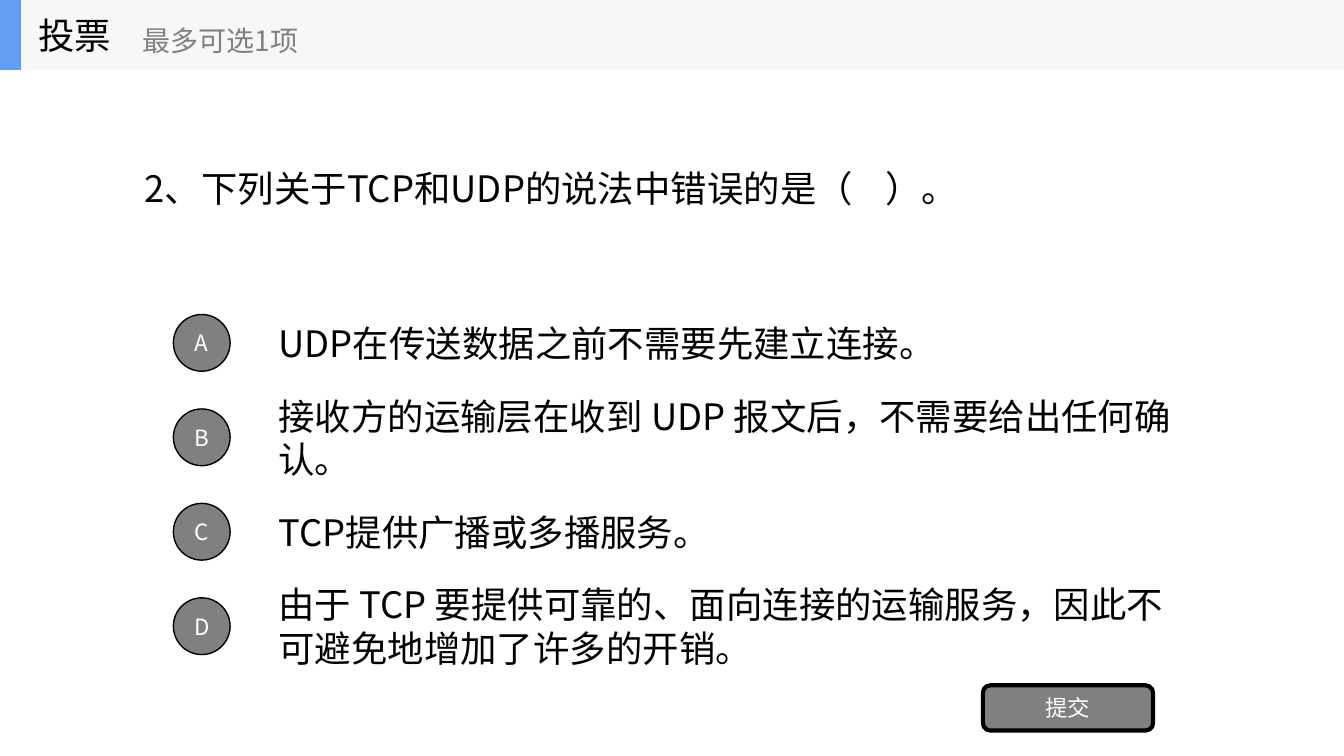
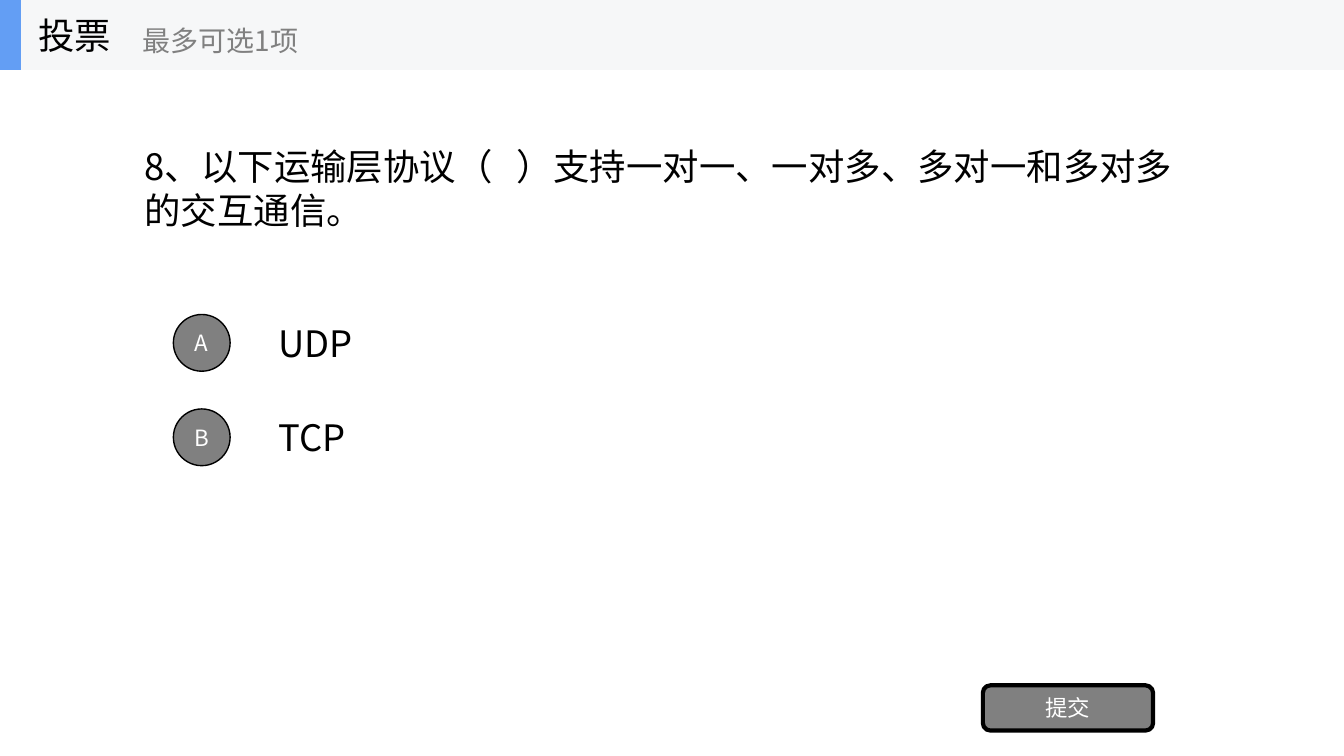
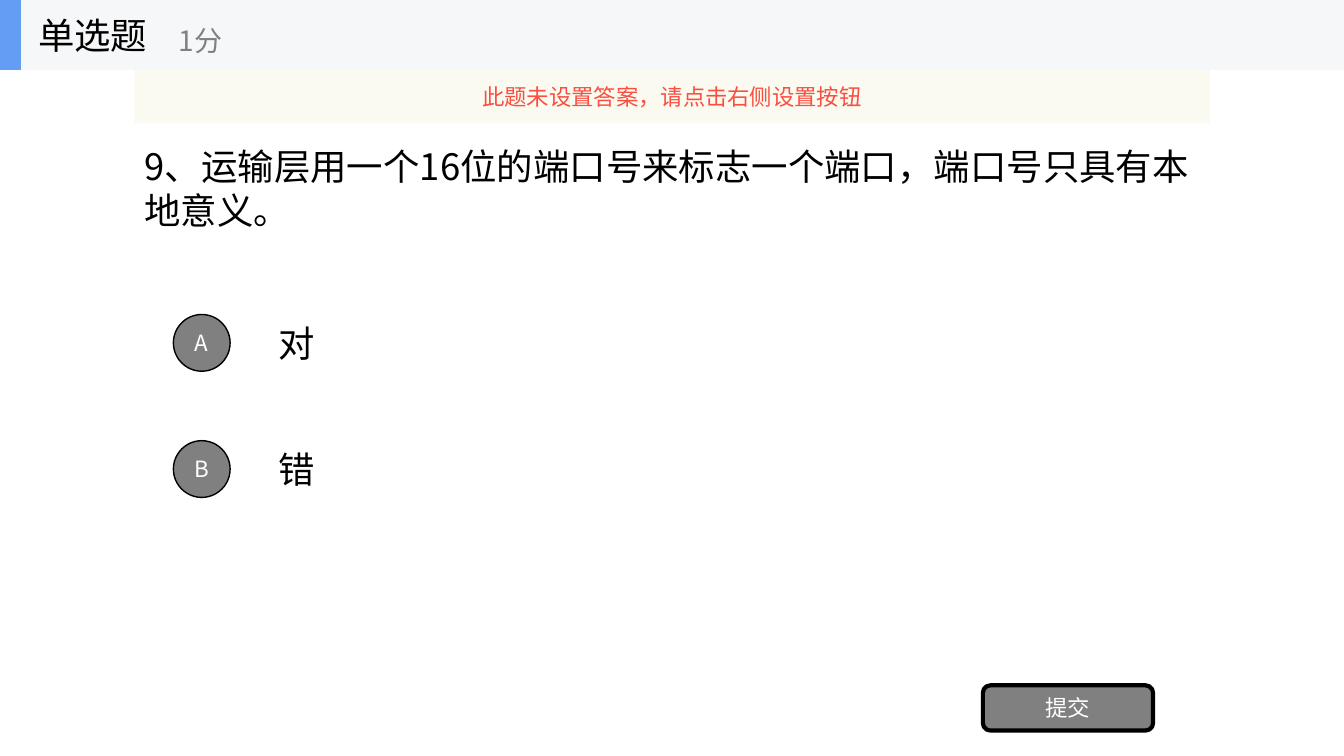
"""Build three quiz slides with a shared header, lettered options and a submit button."""
import lxml.etree
import pptx
import pptx.dml.color
import pptx.enum.shapes
import pptx.enum.text
import pptx.oxml.ns
import pptx.util

Cm = pptx.util.Cm
Pt = pptx.util.Pt
Align = pptx.enum.text.PP_ALIGN
Shape = pptx.enum.shapes.MSO_SHAPE
qn = pptx.oxml.ns.qn

FONT = "Noto Sans CJK SC"
COLORS = {
    "text": "000000",
    "muted": "808080",
    "white": "FFFFFF",
    "band": "F6F7F8",
    "accent": "639EF4",
    "notice": "FBFAEF",
    "warning": "F84F41",
}
PAGE_WIDTH, PAGE_HEIGHT = 33.87, 19.05
HEADER_HEIGHT = 1.76
CONTENT_LEFT, CONTENT_WIDTH = 3.39, 27.1
OPTION_LEFT, OPTION_TOP = 6.77, 7.75
OPTION_WIDTH, OPTION_HEIGHT = 23.71, 1.78
CIRCLE_LEFT, CIRCLE_SIZE = 4.37, 1.43

QUESTIONS = [
    {
        "heading": "投票",
        "hint": "最多可选1项",
        "question": "2、下列关于TCP和UDP的说法中错误的是（    ）。",
        "options": [
            "UDP在传送数据之前不需要先建立连接。",
            "接收方的运输层在收到 UDP 报文后，不需要给出任何确认。",
            "TCP提供广播或多播服务。",
            "由于 TCP 要提供可靠的、面向连接的运输服务，因此不可避免地增加了许多的开销。",
        ],
        "step": 2.38,
    },
    {
        "heading": "投票",
        "hint": "最多可选1项",
        "question": "8、以下运输层协议（   ）支持一对一、一对多、多对一和多对多的交互通信。",
        "options": ["UDP", "TCP"],
        "step": 2.38,
    },
    {
        "heading": "单选题",
        "hint": "1分",
        "question": "9、运输层用一个16位的端口号来标志一个端口，端口号只具有本地意义。",
        "options": ["对", "错"],
        "step": 3.18,
        "notice": "此题未设置答案，请点击右侧设置按钮",
    },
]


class QuizDeck:
    """Hold the quiz style and the current page."""

    def __init__(self):
        """Start an empty widescreen deck."""
        self.deck = pptx.Presentation()
        self.deck.slide_width = Cm(PAGE_WIDTH)
        self.deck.slide_height = Cm(PAGE_HEIGHT)
        self.page = None

    def color(self, name):
        """Return a named colour."""
        return pptx.dml.color.RGBColor.from_string(COLORS[name])

    def set_text(self, box, text, size, color="text", align=Align.LEFT):
        """Put one vertically centred paragraph into a box."""
        frame = box.text_frame
        frame.text = text
        frame.word_wrap = True
        frame.auto_size = pptx.enum.text.MSO_AUTO_SIZE.NONE
        frame.vertical_anchor = pptx.enum.text.MSO_ANCHOR.MIDDLE
        para = frame.paragraphs[0]
        para.alignment = align
        para.line_spacing = 1.0
        para.font.size = Pt(size)
        para.font.color.rgb = self.color(color)
        para.font.name = FONT
        latin = para._p.pPr.find(qn("a:defRPr")).find(qn("a:latin"))
        east_asian = lxml.etree.Element(qn("a:ea"), typeface=FONT)
        latin.addnext(east_asian)

    def text(self, left, top, width, height, text, size, color="text"):
        """Add a text box."""
        box = self.page.shapes.add_textbox(Cm(left), Cm(top), Cm(width), Cm(height))
        self.set_text(box, text, size, color)

    def shape(self, kind, left, top, width, height, fill, line=None):
        """Add a filled shape, outlined when a line width is given."""
        shape = self.page.shapes.add_shape(kind, Cm(left), Cm(top), Cm(width), Cm(height))
        shape.shadow.inherit = False
        shape.fill.solid()
        shape.fill.fore_color.rgb = self.color(fill)
        if line:
            shape.line.color.rgb = self.color("text")
            shape.line.width = Pt(line)
        else:
            shape.line.fill.background()
        return shape

    def control(self, kind, left, top, width, height, text, line):
        """Add a grey clickable-looking shape with a centred label."""
        shape = self.shape(kind, left, top, width, height, "muted", line)
        frame = shape.text_frame
        frame.margin_left = frame.margin_right = frame.margin_top = frame.margin_bottom = 0
        self.set_text(shape, text, 16, "white", Align.CENTER)

    def question(self, text):
        """Start a page whose title is the question."""
        self.page = self.deck.slides.add_slide(self.deck.slide_layouts[5])
        title = self.page.shapes.title
        title.left, title.top = Cm(CONTENT_LEFT), Cm(HEADER_HEIGHT)
        title.width, title.height = Cm(CONTENT_WIDTH), Cm(5.94)
        self.set_text(title, text, 26)

    def option(self, letter, text, top):
        """Add a lettered circle and its answer."""
        self.text(OPTION_LEFT, top, OPTION_WIDTH, OPTION_HEIGHT, text, 26)
        circle_top = top + (OPTION_HEIGHT - CIRCLE_SIZE) / 2
        self.control(Shape.OVAL, CIRCLE_LEFT, circle_top, CIRCLE_SIZE, CIRCLE_SIZE, letter, 1)

    def header(self, heading, hint):
        """Add the top band with its heading and the hint after it."""
        self.shape(Shape.RECTANGLE, 0, 0, PAGE_WIDTH, HEADER_HEIGHT, "band")
        self.shape(Shape.RECTANGLE, 0, 0, 0.53, HEADER_HEIGHT, "accent")
        self.text(0.71, 0, 5.29, HEADER_HEIGHT, heading, 26)
        self.text(1.5 + 0.92 * len(heading), 0.3, 6.35, 1.43, hint, 20, "muted")

    def notice(self, text):
        """Add the translucent warning strip below the header."""
        strip = self.shape(
            Shape.RECTANGLE, CONTENT_LEFT, HEADER_HEIGHT, CONTENT_WIDTH, 1.35, "notice"
        )
        fill = strip._element.spPr.find(qn("a:solidFill"))
        lxml.etree.SubElement(fill[0], qn("a:alpha"), val="90000")
        self.set_text(strip, text, 16, "warning", Align.CENTER)

    def quiz(self, heading, hint, question, options, step, notice=None):
        """Build one whole quiz page."""
        self.question(question)
        for index, (letter, answer) in enumerate(zip("ABCD", options)):
            self.option(letter, answer, OPTION_TOP + index * step)
        self.control(Shape.ROUNDED_RECTANGLE, 24.77, 17.27, 4.29, 1.14, "提交", 3)
        self.header(heading, hint)
        if notice:
            self.notice(notice)


def main():
    """Build and save the deck."""
    quiz_deck = QuizDeck()
    for entry in QUESTIONS:
        quiz_deck.quiz(**entry)
    quiz_deck.deck.save("out.pptx")


if __name__ == "__main__":
    main()
